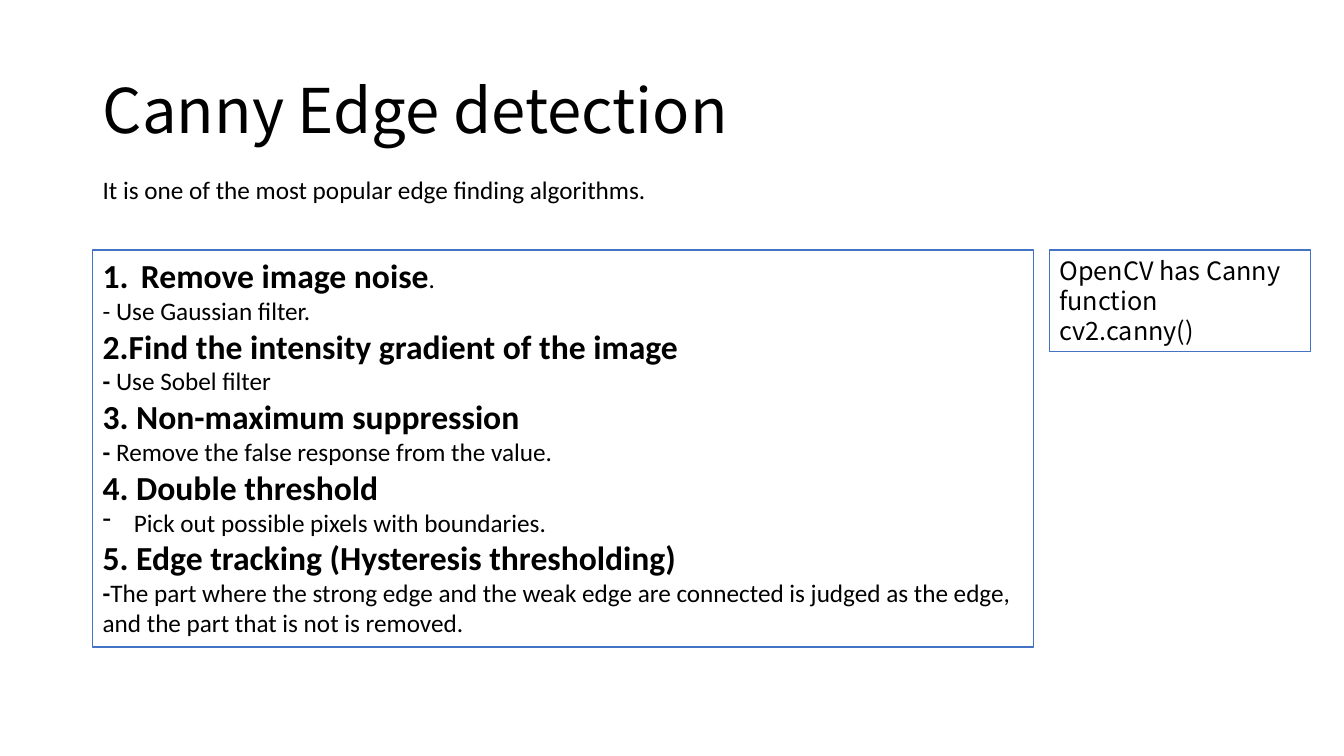
"""Build the Canny edge detection slide."""
from lxml.etree import SubElement
from pptx import Presentation
from pptx.dml.color import RGBColor
from pptx.enum.shapes import MSO_SHAPE
from pptx.enum.text import MSO_ANCHOR, MSO_AUTO_SIZE, PP_ALIGN
from pptx.oxml.ns import qn
from pptx.util import Inches, Pt

COLORS = {"text": "000000", "fill": "FFFFFF", "border": "4472C4"}
BODY_FONT, HEAD_FONT = "Calibri", "Noto Sans CJK KR"
LEFT, BOX_TOP = 0.92, 2.48


def write(paragraph, text, size=18, bold=False, font=BODY_FONT):
    run = paragraph.add_run()
    run.text = text
    for name, value in {"size": Pt(size), "bold": bold, "name": font}.items():
        setattr(run.font, name, value)
    run.font.color.rgb = RGBColor.from_string(COLORS["text"])
    paragraph.alignment = PP_ALIGN.LEFT


def add_box(left, width, height):
    box = slide.shapes.add_shape(MSO_SHAPE.RECTANGLE, Inches(left), Inches(BOX_TOP),
                                 Inches(width), Inches(height))
    box.shadow.inherit = False
    box.fill.solid()
    box.fill.fore_color.rgb = RGBColor.from_string(COLORS["fill"])
    box.line.color.rgb = RGBColor.from_string(COLORS["border"])
    box.line.width = Pt(1)
    box.text_frame.word_wrap = True
    box.text_frame.vertical_anchor = MSO_ANCHOR.TOP
    return box.text_frame


prs = Presentation()
prs.slide_width, prs.slide_height = Inches(13.33), Inches(7.5)
slide = prs.slides.add_slide(prs.slide_layouts[5])

title = slide.shapes.title
title_place = {"left": LEFT, "top": 0.4, "width": 11.5, "height": 1.45}
for name, value in title_place.items():
    setattr(title, name, Inches(value))
title.text_frame.vertical_anchor = MSO_ANCHOR.MIDDLE
title.text_frame.auto_size = MSO_AUTO_SIZE.NONE
title_line = title.text_frame.paragraphs[0]
title_line.line_spacing = 0.9
write(title_line, "Canny Edge detection", 44, font=HEAD_FONT)

intro = slide.shapes.add_textbox(Inches(LEFT), Inches(1.68), Inches(10.62), Inches(0.4))
intro.text_frame.word_wrap = True
write(intro.text_frame.paragraphs[0], "It is one of the most popular edge finding algorithms.")

STEPS = [
    ("Remove image noise", "", "- Use Gaussian filter."),
    ("2.Find the intensity gradient of the image", "- ", "Use Sobel filter"),
    ("3. Non-maximum suppression", "- ", "Remove the false response from the value."),
    ("4. Double threshold", "", "Pick out possible pixels with boundaries."),
    ("5. Edge tracking (Hysteresis thresholding)", "-",
     "The part where the strong edge and the weak edge are connected is judged "
     "as the edge, and the part that is not is removed."),
]
steps = add_box(LEFT, 9.33, 3.94)
for index, (heading, dash, detail) in enumerate(STEPS):
    heading_line = steps.add_paragraph() if index else steps.paragraphs[0]
    write(heading_line, heading, 24, True)
    detail_line = steps.add_paragraph()
    if dash:
        write(detail_line, dash, bold=True)
    write(detail_line, detail)
write(steps.paragraphs[0], ".")

BULLETS = [
    (0, 0.38, "a:buAutoNum", {"type": "arabicPeriod"}),
    (7, 0.31, "a:buChar", {"char": "-"}),
]
for index, indent, tag, marker in BULLETS:
    properties = steps.paragraphs[index]._p.get_or_add_pPr()
    properties.set("marL", str(Inches(indent)))
    properties.set("indent", str(-Inches(indent)))
    SubElement(properties, qn(tag), marker)

function_note = add_box(10.41, 2.59, 1.01)
for index, text in enumerate(["OpenCV has Canny function", "cv2.canny()"]):
    note_line = function_note.add_paragraph() if index else function_note.paragraphs[0]
    note_line.line_spacing = Pt(21.6)
    write(note_line, text, font=HEAD_FONT)

prs.save("out.pptx")
